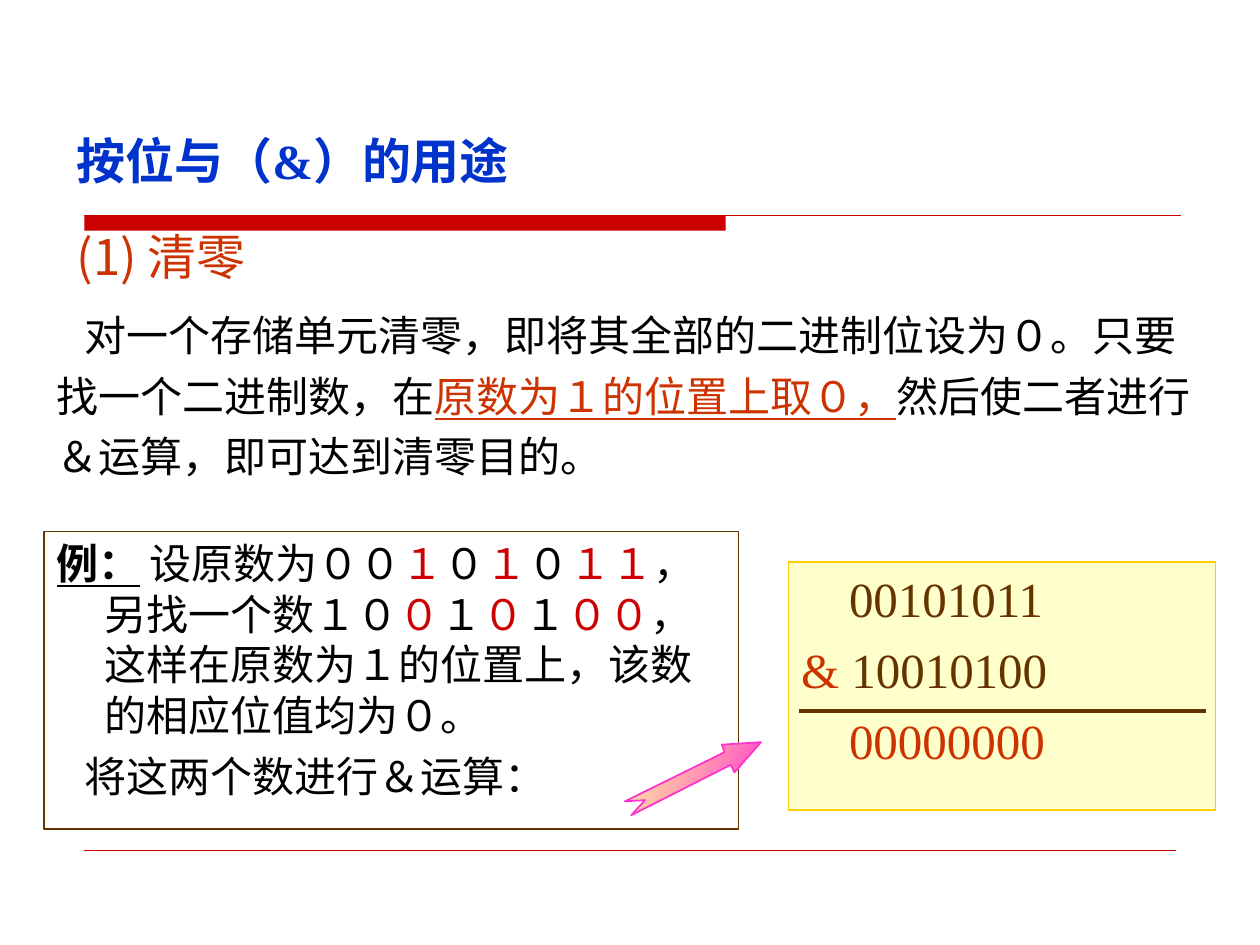
from pptx import Presentation
from pptx.dml.color import RGBColor
from pptx.enum.shapes import MSO_CONNECTOR, MSO_SHAPE
from pptx.enum.text import MSO_ANCHOR, PP_ALIGN
from pptx.oxml.ns import qn
from pptx.util import Inches, Pt

RECTANGLE = MSO_SHAPE.RECTANGLE
STRAIGHT = MSO_CONNECTOR.STRAIGHT
TOP = MSO_ANCHOR.TOP
LEFT = PP_ALIGN.LEFT

BLACK = RGBColor(0x00, 0x00, 0x00)
BLUE = RGBColor(0x00, 0x33, 0xCC)
RED = RGBColor(0xCC, 0x00, 0x00)
ORANGE = RGBColor(0xCC, 0x33, 0x00)
BROWN = RGBColor(0x66, 0x33, 0x00)
GOLD = RGBColor(0xFF, 0xCC, 0x00)
CREAM = RGBColor(0xFF, 0xFF, 0xCC)
YELLOW = RGBColor(0xFF, 0xFF, 0x99)
PINK = RGBColor(0xFF, 0x33, 0xCC)

SANS = "Noto Sans CJK SC"
SERIF = "Times New Roman"
MARGIN = 0.38


class SlideBuilder:
    """Holds the text style and the slide being built."""

    def __init__(self, slide, east_asian=SANS):
        self.slide = slide
        self.east_asian = east_asian

    def line(self, start, end, color, width):
        connector = self.slide.shapes.add_connector(
            STRAIGHT, *(Inches(value) for value in start + end))
        connector.line.color.rgb = color
        connector.line.width = Pt(width)
        properties = connector._element.spPr
        properties.append(properties.makeelement(qn("a:effectLst"), {}))

    def rectangle(self, place, fill=None, outline=None):
        shape = self.slide.shapes.add_shape(
            RECTANGLE, *(Inches(value) for value in place))
        shape.shadow.inherit = False
        if fill is None:
            shape.fill.background()
        else:
            shape.fill.solid()
            shape.fill.fore_color.rgb = fill
        if outline is None:
            shape.line.fill.background()
        else:
            shape.line.color.rgb = outline
            shape.line.width = Pt(0.75)
        return shape

    def text_box(self, place):
        return self.slide.shapes.add_textbox(*(Inches(value) for value in place))

    def add_text(self, box, paragraphs, size, font, spacing=1.0, before=0):
        frame = box.text_frame
        frame.word_wrap = True
        frame.vertical_anchor = TOP
        for index, (margin, indent, spans) in enumerate(paragraphs):
            para = frame.paragraphs[0] if index == 0 else frame.add_paragraph()
            para.alignment = LEFT
            para.line_spacing = spacing
            para.space_before = Pt(before if index else 0)
            properties = para._p.get_or_add_pPr()
            properties.set("marL", str(Inches(margin)))
            properties.set("indent", str(Inches(indent)))
            for text, color, *marks in spans:
                self.add_span(para, text, color, size, font, marks)

    def add_span(self, para, text, color, size, font, marks):
        span = para.add_run()
        span.text = text
        span.font.size = Pt(size)
        span.font.name = font
        span.font.color.rgb = color
        span.font.bold = "bold" in marks
        span.font.underline = "underline" in marks
        properties = span._r.get_or_add_rPr()
        properties.append(properties.makeelement(
            qn("a:ea"), {"typeface": self.east_asian}))

    def arrow(self, points, start_color, end_color, angle):
        corners = [(Inches(x), Inches(y)) for x, y in points]
        builder = self.slide.shapes.build_freeform(*corners[0])
        builder.add_line_segments(corners[1:], close=True)
        shape = builder.convert_to_shape()
        shape.shadow.inherit = False
        shape.fill.gradient()
        shape.fill.gradient_angle = angle
        for stop, color in zip(shape.fill.gradient_stops, (start_color, end_color)):
            stop.color.rgb = color
        shape.line.color.rgb = start_color
        shape.line.width = Pt(1)


def main():
    deck = Presentation()
    deck.slide_width, deck.slide_height = Inches(10), Inches(7.5)
    page = SlideBuilder(deck.slides.add_slide(deck.slide_layouts[6]))

    page.rectangle((0.67, 1.71, 5.09, 0.12), fill=RED)
    page.line((0.67, 1.71), (9.37, 1.71), RED, 0.75)
    page.line((0.67, 6.75), (9.33, 6.75), RED, 0.25)

    title = page.text_box((0.51, 0.99, 5.28, 0.57))
    page.add_text(title, [(0, 0, [("按位与（&）的用途", BLUE, "bold")])], 28, SERIF)

    body = page.text_box((0.35, 2.33, 9.45, 1.89))
    page.add_text(body, [
        (MARGIN, -0.16, [("对一个存储单元清零，即将其全部的二进制位设为０。只要", BLACK)]),
        (MARGIN, -MARGIN, [
            ("找一个二进制数，在", BLACK),
            ("原数为１的位置上取０，", ORANGE, "underline"),
            ("然后使二者进行", BLACK)]),
        (MARGIN, -MARGIN, [("＆运算，即可达到清零目的。", BLACK)]),
    ], 24, SANS, spacing=1.2)

    heading = page.text_box((0.51, 1.78, 2.52, 0.63))
    page.add_text(heading, [(MARGIN, -MARGIN, [("(1) 清零", ORANGE)])],
                  28, SANS, spacing=0.95)

    example = page.rectangle((0.35, 4.22, 5.51, 2.36), outline=BROWN)
    page.add_text(example, [
        (MARGIN, -MARGIN, [
            ("例：", BLACK, "bold", "underline"),
            (" 设原数为００", BLACK), ("１", RED), ("０", BLACK), ("１", RED),
            ("０", BLACK), ("１１", RED),
            ("，另找一个数１０", BLACK), ("０", RED), ("１", BLACK), ("０", RED),
            ("１", BLACK), ("００", RED),
            ("，这样在原数为１的位置上，该数的相应位值均为０。", BLACK)]),
        (MARGIN, -0.16, [("将这两个数进行＆运算：", BLACK)]),
    ], 24, SANS, before=6)

    page.arrow([(4.96, 6.36), (5.75, 5.97), (5.73, 5.91), (6.04, 5.89),
                (5.83, 6.13), (5.8, 6.07), (5.01, 6.47), (5.12, 6.35)],
               PINK, YELLOW, 154)

    sum_box = page.rectangle((6.26, 4.46, 3.39, 1.97), fill=CREAM, outline=GOLD)
    page.add_text(sum_box, [
        (MARGIN, 0, [("00101011", BROWN)]),
        (MARGIN, -MARGIN, [("& ", ORANGE), ("10010100", BROWN)]),
        (MARGIN, 0, [("00000000", ORANGE)]),
    ], 28, SERIF, before=7)
    page.line((6.34, 5.64), (9.57, 5.64), BROWN, 2.25)

    deck.save("out.pptx")


if __name__ == "__main__":
    main()
